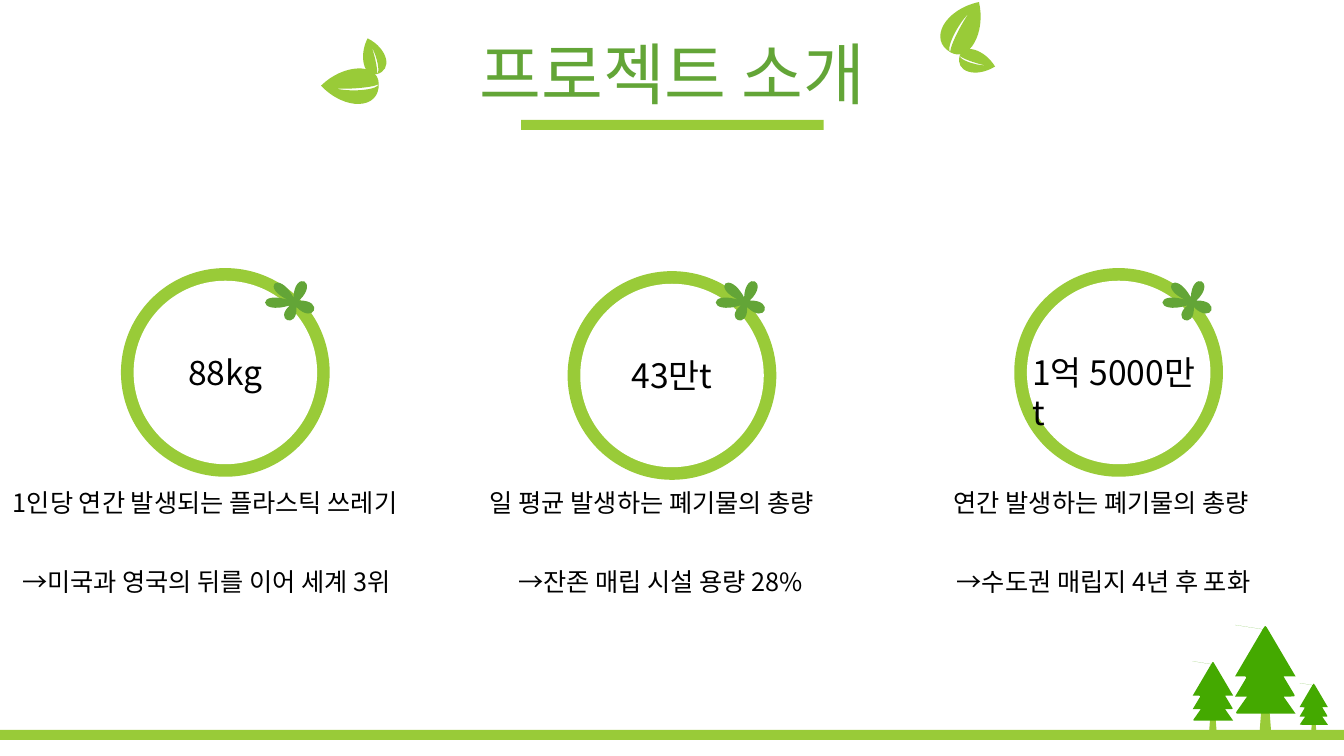
from math import cos, radians, sin

from lxml.etree import SubElement
from pptx import Presentation
from pptx.dml.color import RGBColor
from pptx.enum.shapes import MSO_SHAPE
from pptx.enum.text import MSO_ANCHOR, MSO_AUTO_SIZE, PP_ALIGN
from pptx.oxml.ns import qn
from pptx.util import Pt

EMU_PER_PX = 9144
PAGE_WIDTH, PAGE_HEIGHT = 1333, 750
FONT = "Noto Sans CJK KR"
LIME = "99CB38"
GREEN = "63A537"
PINE = "44A900"
WHITE = "FFFFFF"
BLACK = "000000"

RING_SIZE, DISC_SIZE = 207, 182
SUMMARY_TOP, REMARK_TOP = 479, 557

TREE_HALF_WIDTH, TREE_NOTCH, TREE_HEIGHT = 30, 18, 88
TREE_EAVES = (-37, -17, 0)
CLOVER_PETALS = ((112, 18), (180, 28), (223, 26), (295, 22), (382, 20))


def px(*lengths):
    return [round(length * EMU_PER_PX) for length in lengths]


def color(hex_code):
    return RGBColor.from_string(hex_code)


def polar(degrees, length=1):
    return length * complex(cos(radians(degrees)), sin(radians(degrees)))


def paint(shape, fill):
    shape.shadow.inherit = False
    shape.fill.solid()
    shape.fill.fore_color.rgb = color(fill)
    shape.line.fill.background()


def add_preset(page, kind, bounds, fill):
    shape = page.shapes.add_shape(kind, *px(*bounds))
    paint(shape, fill)
    return shape


def add_curves(page, points, origin, fill, scale=1, turn=0):
    placed = [complex(*origin) + point * polar(turn, scale) for point in points]
    corners = [px(point.real, point.imag) for point in placed]
    builder = page.shapes.build_freeform(*corners[0], scale=1.0)
    builder.add_line_segments(corners[1:], close=True)
    shape = builder.convert_to_shape()
    lines = list(shape.element.iter(qn("a:lnTo")))
    for first in range(0, len(lines), 3):
        curve = lines[first].makeelement(qn("a:cubicBezTo"))
        lines[first].addprevious(curve)
        for line in lines[first:first + 3]:
            curve.append(line[0])
            line.getparent().remove(line)
    paint(shape, fill)


def rounded_polygon(corners, cut):
    points = []
    for index, corner in enumerate(corners):
        before = corners[index - 1] - corner
        after = corners[(index + 1) % len(corners)] - corner
        enter = corner + before / abs(before) * cut
        leave = corner + after / abs(after) * cut
        points += [enter, enter] if points else []
        points += [enter, corner, corner, leave, leave]
    return points + [points[0], points[0]]


def bow(start, end, bulge):
    along = end - start
    across = along / abs(along) * 1j * bulge
    return [start, start + across, start + 0.6 * along + across, end]


def lens(base, tip, left_bulge, right_bulge):
    return bow(base, tip, left_bulge) + bow(base, tip, right_bulge)[2::-1]


def leaf(base, tip, blade_bulges, vein_tip, vein_bulges):
    return lens(base, tip, *blade_bulges) + lens(base, vein_tip, *vein_bulges)[1:]


def add_sprig(page, origin, turn):
    large = leaf(-14 + 25j, 14 - 25j, (-26, 21), 4 - 14j, (-6, -3))
    small = leaf(-5 + 28j, 30 + 39j, (-13, 17), 21 + 38j, (4, 2))
    for blade in (large, small):
        add_curves(page, blade, origin, LIME, turn=turn)


def add_clover(page, origin, notch_radius=5, spread=9):
    angles = [angle for angle, length in CLOVER_PETALS]
    following = angles[1:] + [angles[0] + 360]
    notches = [polar((angle + after) / 2, notch_radius)
               for angle, after in zip(angles, following)]
    points = [notches[-1]]
    for (angle, length), notch in zip(CLOVER_PETALS, notches):
        reach = polar(angle, length / 0.75)
        side = polar(angle + 90, spread * 1.5)
        points += [reach - side, reach + side, notch]
    add_curves(page, points, origin, GREEN)


def add_tree(page, origin, scale):
    right = []
    for eave in TREE_EAVES:
        right += [complex(TREE_HALF_WIDTH, eave), complex(TREE_NOTCH, eave)]
    right.pop()
    left = [-corner.conjugate() for corner in reversed(right)]
    crown = [complex(0, -TREE_HEIGHT)] + right + left
    trunk = [-4 - 4j, 4 - 4j, 6 + 22j, -6 + 22j]
    add_curves(page, rounded_polygon(trunk, 3), origin, LIME, scale)
    add_curves(page, rounded_polygon(crown, 5), origin, PINE, scale)


def add_text(frame, text, size, ink, align):
    para = frame.paragraphs[0]
    para.alignment = align
    span = para.add_run()
    span.text = text
    span.font.name = FONT
    span.font.size = Pt(size)
    span.font.color.rgb = color(ink)
    SubElement(span.font._element, qn("a:ea"), typeface=FONT)
    return para


def add_label(page, text, bounds, size):
    box = page.shapes.add_textbox(*px(*bounds))
    box.text_frame.word_wrap = False
    box.text_frame.auto_size = MSO_AUTO_SIZE.SHAPE_TO_FIT_TEXT
    add_text(box.text_frame, text, size, BLACK, PP_ALIGN.LEFT)


def add_title(page, text):
    box = page.shapes.add_textbox(*px(34, 38, 1266, 79))
    box.text_frame.word_wrap = True
    box.text_frame.vertical_anchor = MSO_ANCHOR.MIDDLE
    add_text(box.text_frame, text, 48, GREEN, PP_ALIGN.CENTER).line_spacing = 0.9


def add_ring(page, left, top, value):
    inset = (RING_SIZE - DISC_SIZE) / 2
    add_preset(page, MSO_SHAPE.OVAL, (left, top, RING_SIZE, RING_SIZE), LIME)
    disc = add_preset(page, MSO_SHAPE.OVAL,
                      (left + inset, top + inset, DISC_SIZE, DISC_SIZE), WHITE)
    if value:
        disc.text_frame.vertical_anchor = MSO_ANCHOR.MIDDLE
        add_text(disc.text_frame, value, 24, BLACK, PP_ALIGN.CENTER)


def main():
    deck = Presentation()
    deck.slide_width, deck.slide_height = px(PAGE_WIDTH, PAGE_HEIGHT)
    page = deck.slides.add_slide(deck.slide_layouts[6])

    for origin, scale in (((1255, 708), 1), ((1303, 719), 0.47), ((1203, 715), 0.67)):
        add_tree(page, origin, scale)
    for origin, turn in (((957, 27), 0), ((347, 84), 238.6)):
        add_sprig(page, origin, turn)
    for bar in ((517, 119, 300, 10), (0, 724, PAGE_WIDTH, 10)):
        add_preset(page, MSO_SHAPE.RECTANGLE, bar, LIME)
    add_title(page, "프로젝트 소개")

    facts = (
        ((120, 266), "88kg", 292,
         ("1인당 연간 발생되는 플라스틱 쓰레기", 3, 441),
         ("→미국과 영국의 뒤를 이어 세계 3위", 12, 429)),
        ((563, 269), "43만t", 739,
         ("일 평균 발생하는 폐기물의 총량", 476, 382),
         ("→잔존 매립 시설 용량 28%", 504, 325)),
        ((1006, 266), "", 1182,
         ("연간 발생하는 폐기물의 총량", 936, 348),
         ("→수도권 매립지 4년 후 포화", 939, 345)),
    )
    for corner, value, clover_x, summary, remark in facts:
        add_ring(page, *corner, value)
        add_clover(page, (clover_x, 300))
        for (text, left, width), top in ((summary, SUMMARY_TOP), (remark, REMARK_TOP)):
            add_label(page, text, (left, top, width, 40), 18)
    add_label(page, "1억 5000만t", (1014, 344, 193, 50), 24)
    deck.save("out.pptx")


if __name__ == "__main__":
    main()
